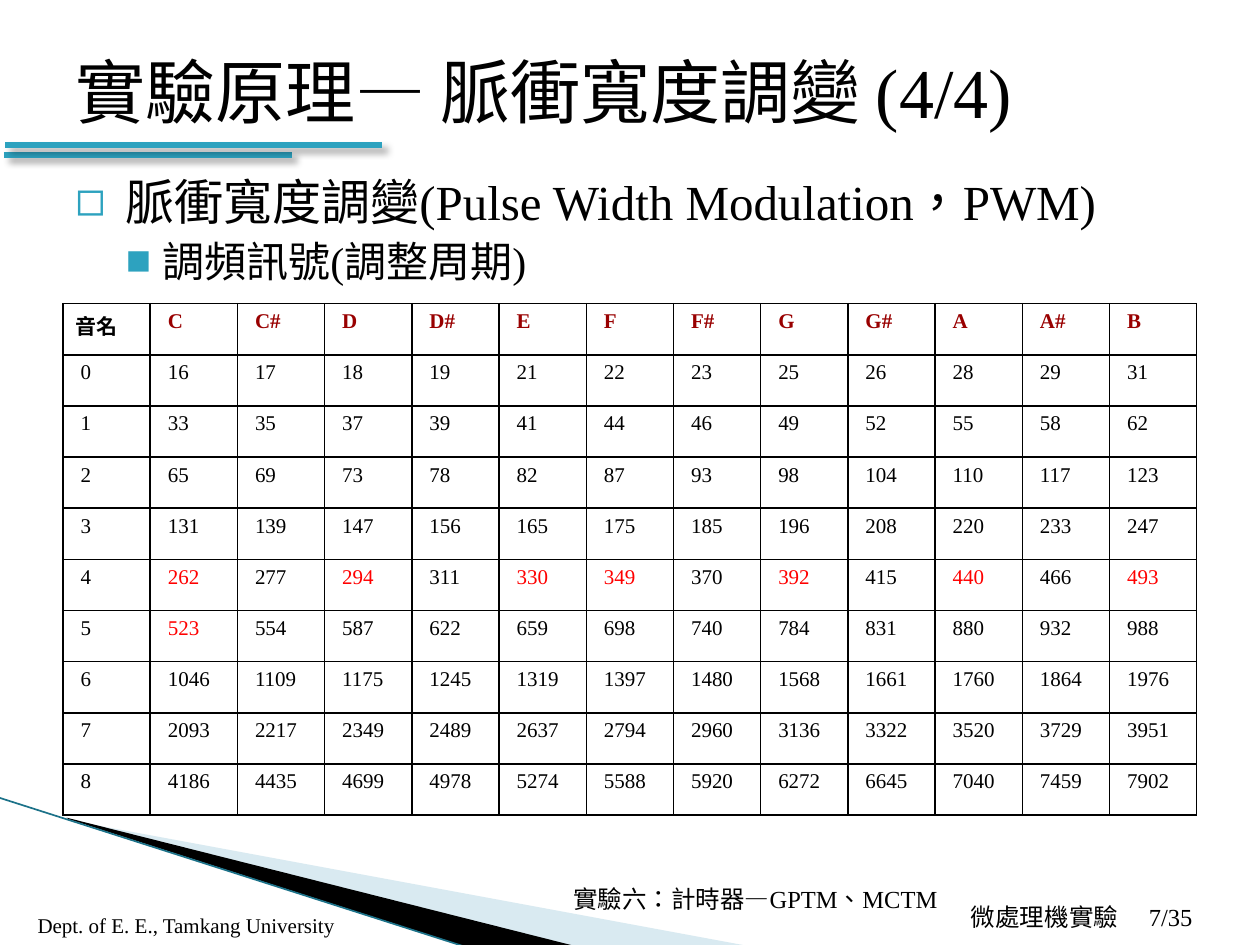
from lxml.etree import SubElement
from pptx import Presentation
from pptx.dml.color import RGBColor
from pptx.enum.shapes import MSO_CONNECTOR
from pptx.enum.text import MSO_ANCHOR as Anchor, PP_ALIGN as Align
from pptx.oxml import parse_xml
from pptx.oxml.ns import nsdecls, qn
from pptx.util import Inches, Pt

BLACK = RGBColor(0x00, 0x00, 0x00)
WHITE = RGBColor(0xFF, 0xFF, 0xFF)
TEAL = RGBColor(0x2D, 0xA2, 0xBF)
DARK_TEAL = RGBColor(0x1C, 0x72, 0x89)
PALE_BLUE = RGBColor(0xA0, 0xCB, 0xDC)
DARK_RED = RGBColor(0x99, 0x00, 0x00)
RED = RGBColor(0xFF, 0x00, 0x00)
LATIN_FONT = "Times New Roman"
CJK_FONT = "Noto Sans CJK SC"

TITLE = "實驗原理— 脈衝寬度調變 (4/4)"
BULLETS = [
    ("脈衝寬度調變(Pulse Width Modulation，PWM)", 28, "◻", 0.4, 0.4, 4),
    ("調頻訊號(調整周期)", 24, "■", 0.69, 0.29, 3.2),
]
FOOTERS = [
    ("7/35", (9.02, 7.11, 0.84, 0.33), dict(size=14), dict(anchor=Anchor.MIDDLE)),
    ("Dept. of E. E., Tamkang University", (0.2, 7.19, 2.6, 0.3),
     dict(size=12), dict(anchor=Anchor.MIDDLE)),
    ("實驗六：計時器—GPTM、MCTM", (4.45, 6.97, 3.23, 0.34), dict(size=14), {}),
    ("微處理機實驗", (7.6, 7.11, 1.38, 0.34),
     dict(size=14, font=CJK_FONT, align=Align.CENTER), dict(wrap=False)),
]
RULES = [
    ((0.03, 1.23), (2.32, 1.23), TEAL, 3, True),
    ((0.04, 1.15), (3.03, 1.15), TEAL, 3, True),
    ((-0.01, 6.33), (3.71, 7.52), DARK_TEAL, 0.95, False),
]
WEDGES = [
    ([(0.55, 6.51), (5.95, 7.51), (4.56, 7.51), (0.55, 6.5)], PALE_BLUE, 40),
    ([(0.53, 6.49), (4.57, 7.51), (3.72, 7.52), (0.54, 6.5)], BLACK, 100),
]
NOTES = ["C", "C#", "D", "D#", "E", "F", "F#", "G", "G#", "A", "A#", "B"]
FREQUENCIES = [
    [16, 17, 18, 19, 21, 22, 23, 25, 26, 28, 29, 31],
    [33, 35, 37, 39, 41, 44, 46, 49, 52, 55, 58, 62],
    [65, 69, 73, 78, 82, 87, 93, 98, 104, 110, 117, 123],
    [131, 139, 147, 156, 165, 175, 185, 196, 208, 220, 233, 247],
    [262, 277, 294, 311, 330, 349, 370, 392, 415, 440, 466, 493],
    [523, 554, 587, 622, 659, 698, 740, 784, 831, 880, 932, 988],
    [1046, 1109, 1175, 1245, 1319, 1397, 1480, 1568, 1661, 1760, 1864, 1976],
    [2093, 2217, 2349, 2489, 2637, 2794, 2960, 3136, 3322, 3520, 3729, 3951],
    [4186, 4435, 4699, 4978, 5274, 5588, 5920, 6272, 6645, 7040, 7459, 7902],
]
HIGHLIGHTED = {262, 294, 330, 349, 392, 440, 493, 523}
TABLE_BOX = (0.5, 2.41, 9, 4.06)


def write(paragraph, text, size=12, color=BLACK, bold=False, font=LATIN_FONT, align=Align.LEFT):
    paragraph.alignment = align
    run = paragraph.add_run()
    run.text = text
    run.font.size = Pt(size)
    run.font.bold = bold
    run.font.name = font
    run.font.color.rgb = color
    run.font._element.set("lang", "zh-TW")
    SubElement(run.font._element, qn("a:ea"), typeface=CJK_FONT)


def add_text_frame(slide, box, anchor=Anchor.TOP, wrap=True):
    frame = slide.shapes.add_textbox(*map(Inches, box)).text_frame
    frame.word_wrap = wrap
    frame.vertical_anchor = anchor
    return frame


def add_rule(slide, start, end, color, width, shadow):
    line = slide.shapes.add_connector(MSO_CONNECTOR.STRAIGHT, *map(Inches, start + end))
    line.line.color.rgb = color
    line.line.width = Pt(width)
    effects = SubElement(line._element.spPr, qn("a:effectLst"))
    if shadow:
        effects.append(parse_xml(
            f'<a:outerShdw {nsdecls("a")} blurRad="{Pt(4)}" dist="{Pt(4)}" dir="2700000">'
            '<a:srgbClr val="000000"><a:alpha val="40000"/></a:srgbClr></a:outerShdw>'))


def add_wedge(slide, points, color, opacity):
    corners = [(Inches(x), Inches(y)) for x, y in points]
    builder = slide.shapes.build_freeform(*corners[0])
    builder.add_line_segments(corners[1:], close=True)
    shape = builder.convert_to_shape()
    shape.shadow.inherit = False
    shape.fill.solid()
    shape.fill.fore_color.rgb = color
    shape.line.fill.background()
    if opacity < 100:
        fill_color = shape._element.spPr.find(qn("a:solidFill"))[0]
        SubElement(fill_color, qn("a:alpha"), val=str(opacity * 1000))


def add_bullet(paragraph, symbol, margin, hanging):
    properties = paragraph._p.get_or_add_pPr()
    properties.set("marL", str(Inches(margin)))
    properties.set("indent", str(-Inches(hanging)))
    color = SubElement(properties, qn("a:buClr"))
    SubElement(color, qn("a:srgbClr"), val=str(TEAL))
    SubElement(properties, qn("a:buFont"), typeface=LATIN_FONT)
    SubElement(properties, qn("a:buChar"), char=symbol)


def format_cell(cell):
    properties = cell._tc.get_or_add_tcPr()
    for side in ("lnL", "lnR", "lnT", "lnB"):
        border = SubElement(properties, qn(f"a:{side}"), w=str(Pt(1)))
        fill = SubElement(border, qn("a:solidFill"))
        SubElement(fill, qn("a:srgbClr"), val=str(BLACK))
    cell.fill.solid()
    cell.fill.fore_color.rgb = WHITE


def add_note_table(slide):
    rows = [["音名"] + NOTES]
    rows += [[octave] + values for octave, values in enumerate(FREQUENCIES)]
    left, top, width, height = map(Inches, TABLE_BOX)
    table = slide.shapes.add_table(len(rows), len(rows[0]), left, top, width, height).table
    table.first_row = table.horz_banding = False
    for column in table.columns:
        column.width = width // len(rows[0])
    for row in table.rows:
        row.height = height // len(rows)
    for row_index, values in enumerate(rows):
        for column_index, value in enumerate(values):
            cell = table.cell(row_index, column_index)
            is_header = row_index == 0
            is_corner = is_header and column_index == 0
            color = RED if value in HIGHLIGHTED else BLACK
            if is_header and not is_corner:
                color = DARK_RED
            cell.margin_left = Inches(0.1 if is_corner else 0.14)
            cell.margin_right = Inches(0.05)
            write(cell.text_frame.paragraphs[0], str(value), color=color, bold=is_header)
            format_cell(cell)


def main():
    presentation = Presentation()
    presentation.slide_width = Inches(10)
    presentation.slide_height = Inches(7.5)
    slide = presentation.slides.add_slide(presentation.slide_layouts[6])
    for rule in RULES[:2]:
        add_rule(slide, *rule)
    for wedge in WEDGES:
        add_wedge(slide, *wedge)
    for rule in RULES[2:]:
        add_rule(slide, *rule)
    for text, box, text_format, frame_format in FOOTERS:
        write(add_text_frame(slide, box, **frame_format).paragraphs[0], text, **text_format)
    body = add_text_frame(slide, (0.5, 1.31, 9, 1.05))
    for level, (text, size, symbol, margin, hanging, space) in enumerate(BULLETS):
        paragraph = body.add_paragraph() if level else body.paragraphs[0]
        paragraph.level = level
        paragraph.space_before = Pt(space)
        write(paragraph, text, size=size)
        add_bullet(paragraph, symbol, margin, hanging)
    title = add_text_frame(slide, (0.5, 0.21, 9, 1.01), anchor=Anchor.MIDDLE)
    write(title.paragraphs[0], TITLE, size=40)
    add_note_table(slide)
    presentation.save("out.pptx")


if __name__ == "__main__":
    main()
